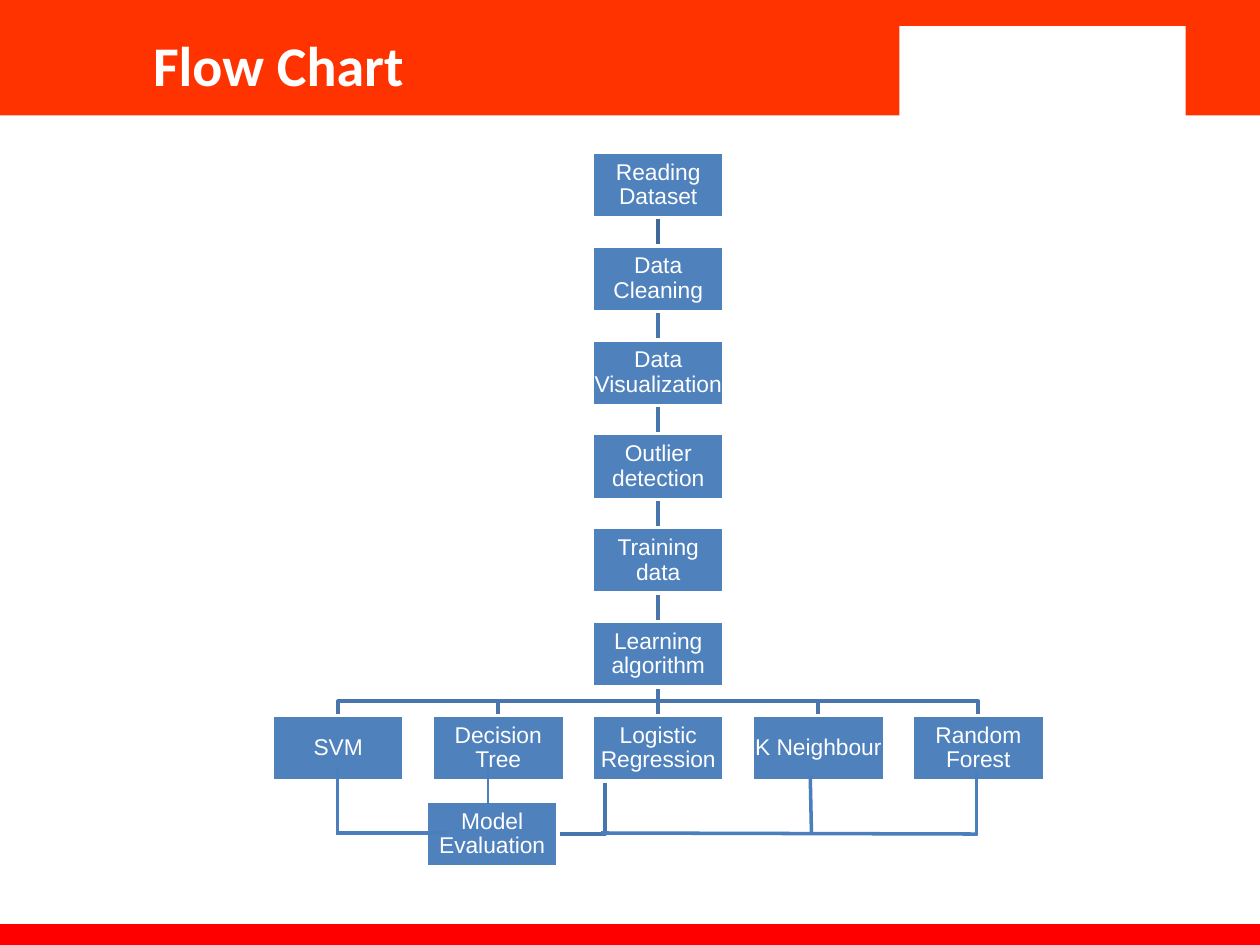
from lxml import etree
from pptx import Presentation
from pptx.dml.color import RGBColor
from pptx.enum.shapes import MSO_CONNECTOR, MSO_SHAPE
from pptx.enum.text import MSO_ANCHOR, MSO_AUTO_SIZE, PP_ALIGN
from pptx.oxml.ns import qn
from pptx.util import Pt

RECTANGLE = MSO_SHAPE.RECTANGLE
STRAIGHT = MSO_CONNECTOR.STRAIGHT
MIDDLE = MSO_ANCHOR.MIDDLE
CENTER = PP_ALIGN.CENTER
NO_AUTOFIT = MSO_AUTO_SIZE.NONE
TITLE_ONLY = 5

# Grid of the chart, in points
BOX_W, BOX_H = 75.6, 37.5
COL_PITCH, ROW_PITCH = 91.44, 53.64
TRUNK_X, TOP = 376.1, 86.9
MODEL_LEFT, MODEL_TOP = 243.4, 457.9


def color(hex_string):
    return RGBColor.from_string(hex_string)


class FlowSlide:
    WHITE = "FFFFFF"
    HEADER = "FF3300"
    FOOTER = "FF0000"
    BOX = "4F81BD"
    BRANCH = "4875AC"
    FIRST_LINK = "3F6797"
    MERGE = "4B7EBC"

    def __init__(self, slide):
        self.slide = slide
        self.shapes = slide.shapes

    def style_text(self, frame, font, size, bold=False):
        frame.vertical_anchor = MIDDLE
        frame.word_wrap = True
        frame.auto_size = NO_AUTOFIT
        paragraph = frame.paragraphs[0]
        paragraph.alignment = CENTER
        for run in paragraph.runs:
            run.font.name = font
            run.font.size = Pt(size)
            run.font.bold = bold
            run.font.color.rgb = color(self.WHITE)

    def title(self, text, left, top, width, height):
        title = self.shapes.title
        title.left, title.top = Pt(left), Pt(top)
        title.width, title.height = Pt(width), Pt(height)
        title.text_frame.text = text
        self.style_text(title.text_frame, "Calibri", 32, bold=True)
        # Bring the title in front of the header band
        self.shapes.element.append(title.element)

    def band(self, left, top, width, height, fill):
        band = self.shapes.add_shape(RECTANGLE, Pt(left), Pt(top), Pt(width), Pt(height))
        band.shadow.inherit = False
        band.fill.solid()
        band.fill.fore_color.rgb = color(fill)
        band.line.fill.background()
        return band

    def box(self, text, left, top):
        box = self.band(left, top, BOX_W, BOX_H, self.BOX)
        box.line.color.rgb = color(self.WHITE)
        box.line.width = Pt(2)
        frame = box.text_frame
        frame.margin_left = frame.margin_right = Pt(0.65)
        frame.margin_top = frame.margin_bottom = Pt(0.65)
        frame.text = text
        frame.paragraphs[0].line_spacing = 0.9
        self.style_text(frame, "Arial", 13)

    def line(self, start, end, stroke, width=2):
        line = self.shapes.add_connector(STRAIGHT, *map(Pt, start + end))
        line.line.color.rgb = color(stroke)
        line.line.width = Pt(width)
        etree.SubElement(line.element.spPr, qn("a:effectLst"))

    def elbow(self, *points):
        start, *rest = [(Pt(x), Pt(y)) for x, y in points]
        builder = self.shapes.build_freeform(*start)
        builder.add_line_segments(rest, close=False)
        elbow = builder.convert_to_shape()
        elbow.shadow.inherit = False
        elbow.fill.background()
        elbow.line.color.rgb = color(self.BRANCH)
        elbow.line.width = Pt(2)


def main():
    prs = Presentation()
    prs.slide_width, prs.slide_height = Pt(720), Pt(540)
    page = FlowSlide(prs.slides.add_slide(prs.slide_layouts[TITLE_ONLY]))

    # Header with its white tab, footer and title
    page.band(0, 0, 720, 66, page.HEADER)
    page.band(514, 15, 163.5, 54, page.WHITE)
    page.band(0, 528, 720, 15.8, page.FOOTER)
    page.title("Flow Chart", 0, 0, 318.3, 73.4)

    steps = ["Reading Dataset", "Data Cleaning", "Data Visualization",
             "Outlier detection", "Training data", "Learning algorithm"]
    algorithms = ["SVM", "Decision Tree", "Logistic Regression",
                  "K Neighbour", "Random Forest"]
    algorithm_top = TOP + len(steps) * ROW_PITCH
    algorithm_bottom = algorithm_top + BOX_H
    centers = [TRUNK_X + (i - 2) * COL_PITCH for i in range(len(algorithms))]

    # Links down the trunk
    for i in range(len(steps)):
        row_top = TOP + i * ROW_PITCH
        page.line((TRUNK_X, row_top + BOX_H), (TRUNK_X, row_top + ROW_PITCH),
                  page.BRANCH if i else page.FIRST_LINK)

    # Branches from the last step to the outer algorithms
    fork_top = algorithm_top - ROW_PITCH + BOX_H
    fork_y = (fork_top + algorithm_top) / 2
    for center in centers:
        if center != TRUNK_X:
            page.elbow((TRUNK_X, fork_top), (TRUNK_X, fork_y),
                       (center, fork_y), (center, algorithm_top))

    # Logistic Regression to Model Evaluation
    model_right, model_y = MODEL_LEFT + BOX_W, MODEL_TOP + BOX_H / 2
    page.elbow((345.6, algorithm_bottom), (345.6, model_y), (model_right, model_y))

    # Boxes
    for i, step in enumerate(steps):
        page.box(step, TRUNK_X - BOX_W / 2, TOP + i * ROW_PITCH)
    for center, algorithm in zip(centers, algorithms):
        page.box(algorithm, center - BOX_W / 2, algorithm_top)
    page.box("Model Evaluation", MODEL_LEFT, MODEL_TOP)

    # Remaining algorithms to Model Evaluation
    merges = [
        ((193, 439), (193, 475.5), 2),
        ((192.3, 476), (255.6, 476), 2),
        ((278.8, 437), (278.8, 459.4), 1.5),
        ((463, 443), (463.7, 476), 2),
        ((558, 441.4), (558, 477), 2),
        ((343.5, 476), (558.7, 476.6), 2),
    ]
    for start, end, width in merges:
        page.line(start, end, page.MERGE, width)

    prs.save("out.pptx")


if __name__ == "__main__":
    main()
